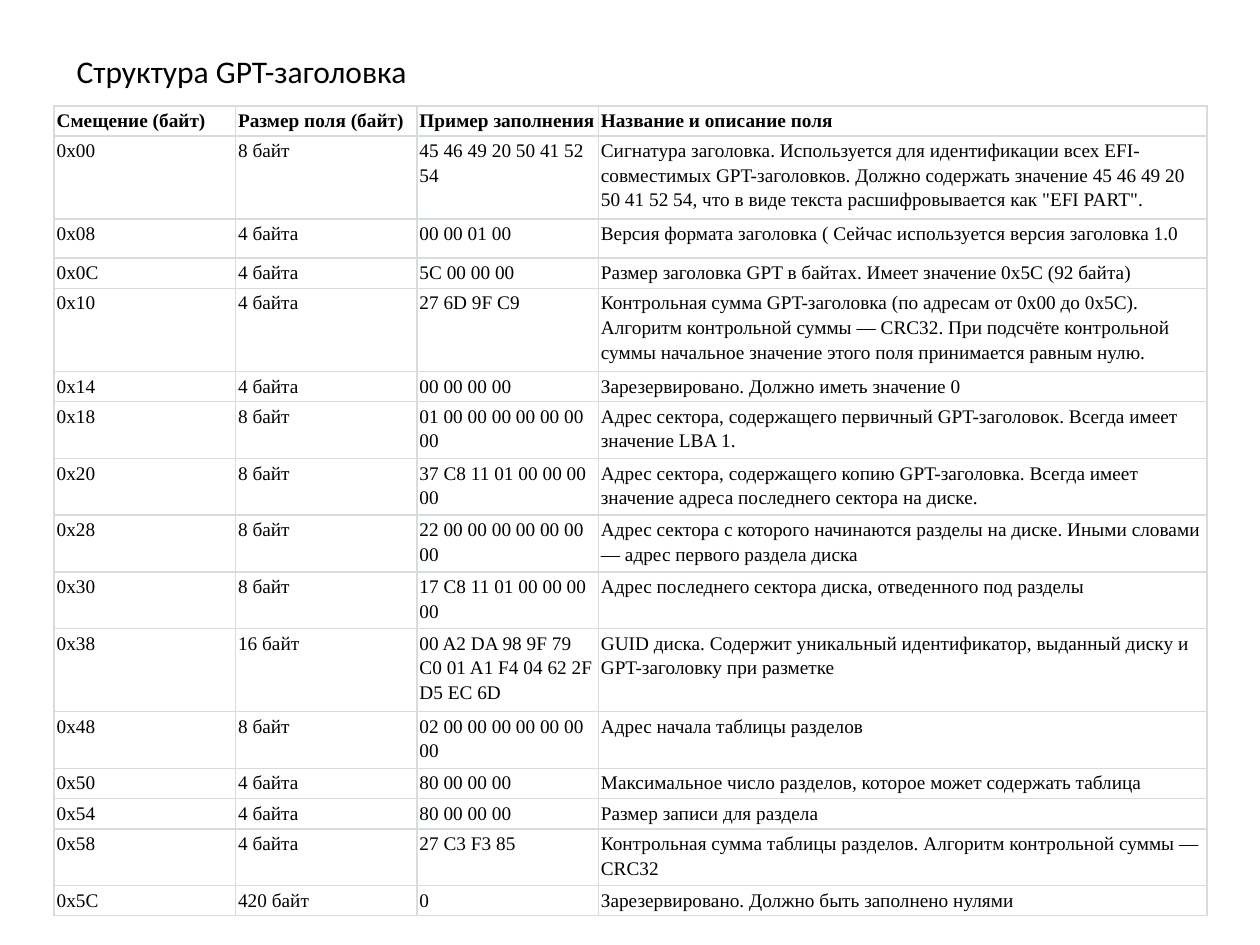
"""Build a slide with a table of the fields in a GPT header."""
from lxml import etree
from pptx import Presentation
from pptx.dml.color import RGBColor
from pptx.enum.text import MSO_AUTO_SIZE
from pptx.oxml.ns import qn
from pptx.util import Inches, Pt

FIT_SHAPE = MSO_AUTO_SIZE.SHAPE_TO_FIT_TEXT

THEME = {
    "ink": RGBColor(0x00, 0x00, 0x00),
    "rule": "D5DDDF",
    "rule_width": Pt(1),
    "title_font": "Calibri",
    "title_size": Pt(18),
    "body_font": "Times New Roman",
    "body_size": Pt(11),
    "line_spacing": 1.15,
}

HEADINGS = ("Смещение (байт)", "Размер поля (байт)", "Пример заполнения",
            "Название и описание поля")
FIELDS = [
    ("0x00", "8 байт", "45 46 49 20 50 41 52 54",
     "Сигнатура заголовка. Используется для идентификации всех EFI-совместимых "
     "GPT-заголовков. Должно содержать значение 45 46 49 20 50 41 52 54, "
     "что в виде текста расшифровывается как \"EFI PART\"."),
    ("0x08", "4 байта", "00 00 01 00",
     "Версия формата заголовка ( Сейчас используется версия заголовка 1.0"),
    ("0x0C", "4 байта", "5C 00 00 00",
     "Размер заголовка GPT в байтах. Имеет значение 0x5C (92 байта)"),
    ("0x10", "4 байта", "27 6D 9F C9",
     "Контрольная сумма GPT-заголовка (по адресам от 0x00 до 0x5C). "
     "Алгоритм контрольной суммы — CRC32. При подсчёте контрольной суммы "
     "начальное значение этого поля принимается равным нулю."),
    ("0x14", "4 байта", "00 00 00 00", "Зарезервировано. Должно иметь значение 0"),
    ("0x18", "8 байт", "01 00 00 00 00 00 00 00",
     "Адрес сектора, содержащего первичный GPT-заголовок. "
     "Всегда имеет значение LBA 1."),
    ("0x20", "8 байт", "37 C8 11 01 00 00 00 00",
     "Адрес сектора, содержащего копию GPT-заголовка. "
     "Всегда имеет значение адреса последнего сектора на диске."),
    ("0x28", "8 байт", "22 00 00 00 00 00 00 00",
     "Адрес сектора с которого начинаются разделы на диске. "
     "Иными словами — адрес первого раздела диска"),
    ("0x30", "8 байт", "17 C8 11 01 00 00 00 00",
     "Адрес последнего сектора диска, отведенного под разделы"),
    ("0x38", "16 байт", "00 A2 DA 98 9F 79 C0 01 A1 F4 04 62 2F D5 EC 6D",
     "GUID диска. Содержит уникальный идентификатор, выданный диску "
     "и GPT-заголовку при разметке"),
    ("0x48", "8 байт", "02 00 00 00 00 00 00 00", "Адрес начала таблицы разделов"),
    ("0x50", "4 байта", "80 00 00 00",
     "Максимальное число разделов, которое может содержать таблица"),
    ("0x54", "4 байта", "80 00 00 00", "Размер записи для раздела"),
    ("0x58", "4 байта", "27 C3 F3 85",
     "Контрольная сумма таблицы разделов. Алгоритм контрольной суммы — CRC32"),
    ("0x5C", "420 байт", "0", "Зарезервировано. Должно быть заполнено нулями"),
]
ROWS = [HEADINGS, *FIELDS]
ROW_LINES = (1, 3, 1.33, 1, 3, 1, 2, 2, 2, 2, 3, 2, 1, 1, 2, 1)
LINE_HEIGHT = Inches(0.21)
ROW_PADDING = Inches(0.03)
COLUMN_SHARES = (0.144, 0.144, 0.144, 0.483)


def write(paragraph, wording, role, bold=False):
    run = paragraph.add_run()
    run.text = wording
    run.font.name = THEME[f"{role}_font"]
    run.font.size = THEME[f"{role}_size"]
    run.font.color.rgb = THEME["ink"]
    run.font.bold = bold


def outline(cell):
    properties = cell._tc.get_or_add_tcPr()
    for side in ("a:lnL", "a:lnR", "a:lnT", "a:lnB"):
        edge = etree.SubElement(properties, qn(side), w=str(THEME["rule_width"]))
        paint = etree.SubElement(edge, qn("a:solidFill"))
        etree.SubElement(paint, qn("a:srgbClr"), val=THEME["rule"])


deck = Presentation()
deck.slide_width, deck.slide_height = Inches(10), Inches(7.5)
W, H = deck.slide_width, deck.slide_height
slide = deck.slides.add_slide(deck.slide_layouts[6])

column_widths = [int(W * share) for share in COLUMN_SHARES]
row_heights = [int(ROW_PADDING + LINE_HEIGHT * lines) for lines in ROW_LINES]
header_fields = slide.shapes.add_table(
    len(ROWS), len(HEADINGS), int(W * 0.043), int(H * 0.112),
    sum(column_widths), sum(row_heights)).table
header_fields.first_row = False
header_fields.horz_banding = False
for column, width in zip(header_fields.columns, column_widths):
    column.width = width

for row, height, entries in zip(header_fields.rows, row_heights, ROWS):
    row.height = height
    for cell, entry in zip(row.cells, entries):
        cell.margin_left = cell.margin_right = cell.margin_bottom = Inches(0.02)
        cell.margin_top = Inches(0.01)
        outline(cell)
        cell.fill.background()
        paragraph = cell.text_frame.paragraphs[0]
        paragraph.line_spacing = THEME["line_spacing"]
        write(paragraph, entry, "body", bold=entries is HEADINGS)

title = slide.shapes.add_textbox(
    int(W * 0.051), int(H * 0.048), int(W * 0.425), int(H * 0.054)).text_frame
title.word_wrap = True
title.auto_size = FIT_SHAPE
write(title.paragraphs[0], "Структура GPT-заголовка", "title")

deck.save("out.pptx")
